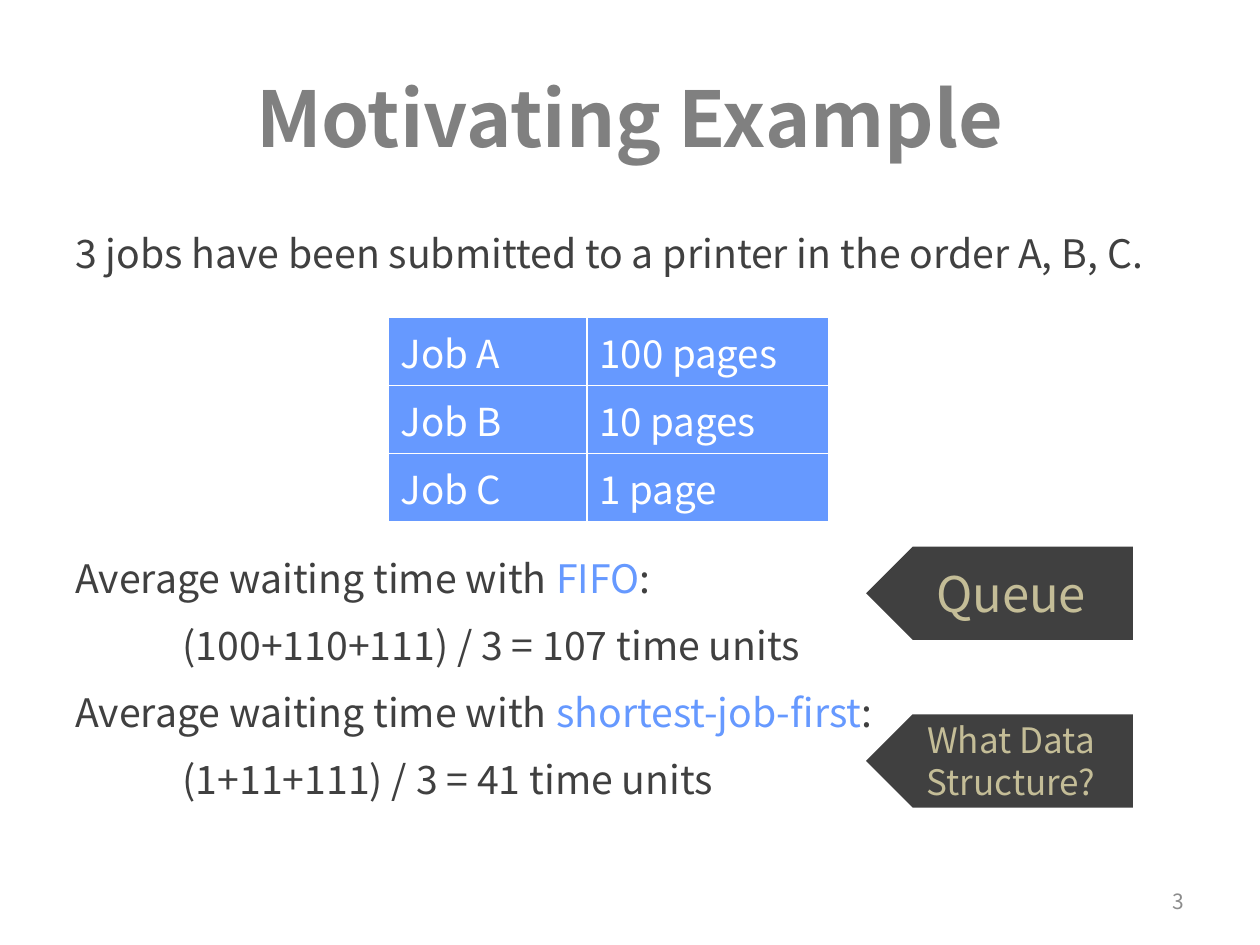
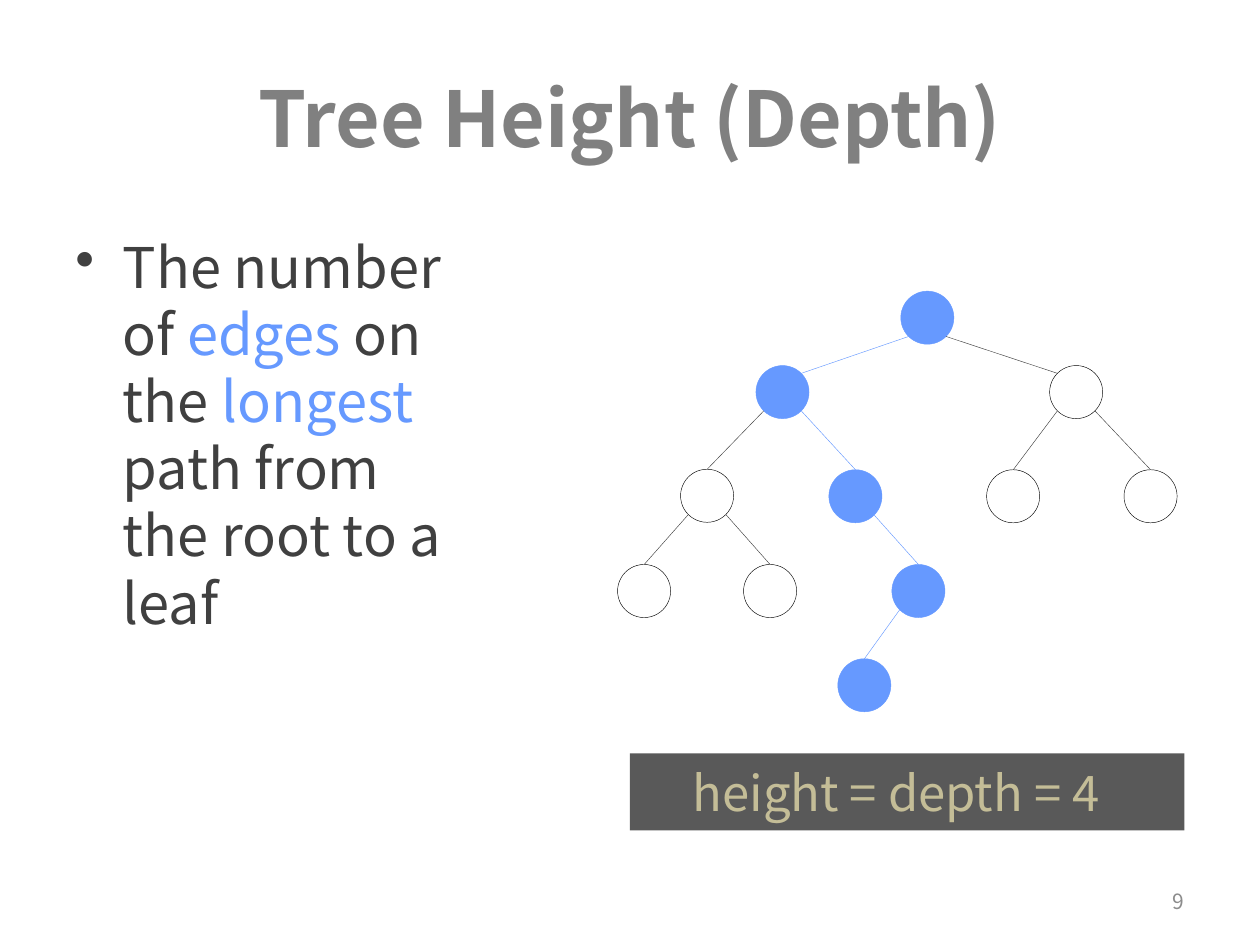
from dataclasses import dataclass
from math import sqrt
from typing import NamedTuple, Optional

from lxml import etree
from pptx import Presentation
from pptx.dml.color import RGBColor
from pptx.enum.shapes import MSO_CONNECTOR, MSO_SHAPE
from pptx.enum.text import MSO_ANCHOR, PP_ALIGN
from pptx.oxml.ns import qn
from pptx.presentation import Presentation as Deck
from pptx.shapes.autoshape import Shape
from pptx.slide import Slide
from pptx.util import Cm, Pt

FONT = "Noto Sans CJK SC"
WHITE = RGBColor(0xFF, 0xFF, 0xFF)
BLACK = RGBColor(0x00, 0x00, 0x00)
TITLE_GRAY = RGBColor(0x80, 0x80, 0x80)
NUMBER_GRAY = RGBColor(0x8C, 0x8C, 0x8C)
INK = RGBColor(0x40, 0x40, 0x40)
BAND_GRAY = RGBColor(0x59, 0x59, 0x59)
ACCENT = RGBColor(0x66, 0x99, 0xFF)
SAND = RGBColor(0xC4, 0xBD, 0x97)

TITLE_ONLY = 5
MARGIN = 1.27
CONTENT_WIDTH = 22.86
NODE_SIZE = 1.07
HAIRLINE = Pt(0.25)


class Box(NamedTuple):
    """Left, top, width and height in centimetres."""
    left: float
    top: float
    width: float
    height: float

    def lengths(self) -> tuple:
        return tuple(Cm(value) for value in self)


@dataclass
class Line:
    """A paragraph; text between asterisks takes the accent colour."""
    text: str
    size: float
    color: RGBColor = INK
    align: PP_ALIGN = PP_ALIGN.LEFT
    bold: bool = False
    spacing: Optional[float] = None
    after: float = 0
    indent: float = 0
    hanging: float = 0
    bullet: str = ""


@dataclass
class Callout:
    text: str
    top: float
    size: float
    spacing: Optional[float] = None


@dataclass
class Node:
    left: float
    top: float
    parent: str = ""
    side: int = 0  # -1 is a left child, 1 a right child
    on_path: bool = False


JOBS = [("Job A", "100 pages"), ("Job B", "10 pages"), ("Job C", "1 page")]
AVERAGES = [
    ("Average waiting time with *FIFO*:", 0),
    ("(100+110+111) / 3 = 107 time units", 2.16),
    ("Average waiting time with *shortest-job-first*:", 0),
    ("(1+11+111) / 3 = 41 time units", 2.16),
]
CALLOUTS = [
    Callout("Queue", 11.02, 28),
    Callout("What Data\vStructure?", 14.4, 20, spacing=24),
]
TREE = {
    "root": Node(18.16, 5.87, on_path=True),
    "L": Node(15.24, 7.37, "root", -1, True),
    "R": Node(21.16, 7.37, "root", 1),
    "LL": Node(13.72, 9.46, "L", -1),
    "LR": Node(16.71, 9.47, "L", 1, True),
    "RL": Node(19.89, 9.47, "R", -1),
    "RR": Node(22.66, 9.47, "R", 1),
    "LLL": Node(12.45, 11.38, "LL", -1),
    "LLR": Node(14.99, 11.38, "LL", 1),
    "LRR": Node(17.98, 11.38, "LR", 1, True),
    "LRRL": Node(16.89, 13.28, "LRR", -1, True),
}


def write(frame, lines: list[Line]) -> None:
    frame.word_wrap = True
    for index, line in enumerate(lines):
        paragraph = frame.add_paragraph() if index else frame.paragraphs[0]
        paragraph.alignment = line.align
        paragraph.space_before = Pt(0)
        paragraph.space_after = Pt(line.after)
        if line.spacing:
            paragraph.line_spacing = Pt(line.spacing)
        font = paragraph.font
        font.name, font.size, font.bold = FONT, Pt(line.size), line.bold
        font.color.rgb = line.color
        properties = paragraph._p.get_or_add_pPr()
        properties.set("marL", str(Cm(line.indent)))
        properties.set("indent", str(Cm(-line.hanging)))
        if line.bullet:
            bullet = etree.Element(qn("a:buChar"), char=line.bullet)
            properties.find(qn("a:defRPr")).addprevious(bullet)
        for part, text in enumerate(line.text.split("*")):
            for piece, row in enumerate(text.split("\v")):
                if piece:
                    paragraph.add_line_break()
                run = paragraph.add_run()
                run.text = row
                if part % 2:
                    run.font.color.rgb = ACCENT


def add_text(slide: Slide, box: Box, lines: list[Line]) -> Shape:
    text_box = slide.shapes.add_textbox(*box.lengths())
    write(text_box.text_frame, lines)
    return text_box


def add_filled(slide: Slide, kind: MSO_SHAPE, box: Box, fill: RGBColor) -> Shape:
    shape = slide.shapes.add_shape(kind, *box.lengths())
    shape.shadow.inherit = False
    shape.fill.solid()
    shape.fill.fore_color.rgb = fill
    shape.line.fill.background()
    shape.text_frame.vertical_anchor = MSO_ANCHOR.MIDDLE
    return shape


def add_titled_slide(deck: Deck, title: str, number: int) -> Slide:
    slide = deck.slides.add_slide(deck.slide_layouts[TITLE_ONLY])
    heading = slide.shapes.title
    box = Box(MARGIN, 0.76, CONTENT_WIDTH, 3.18)
    heading.left, heading.top, heading.width, heading.height = box.lengths()
    heading.text_frame.vertical_anchor = MSO_ANCHOR.MIDDLE
    write(heading.text_frame,
          [Line(title, 44, TITLE_GRAY, PP_ALIGN.CENTER, bold=True)])
    page = add_text(slide, Box(18.21, 17.65, 5.92, 1.02),
                    [Line(str(number), 12, NUMBER_GRAY, PP_ALIGN.RIGHT)])
    page.text_frame.vertical_anchor = MSO_ANCHOR.MIDDLE
    return slide


def add_white_borders(cell) -> None:
    properties = cell._tc.get_or_add_tcPr()
    for position, edge in enumerate(("a:lnL", "a:lnR", "a:lnT", "a:lnB")):
        border = etree.Element(qn(edge), w=str(Pt(1)))
        fill = etree.SubElement(border, qn("a:solidFill"))
        etree.SubElement(fill, qn("a:srgbClr"), val=str(WHITE))
        properties.insert(position, border)


def add_job_table(slide: Slide) -> None:
    box = Box(7.82, 6.4, 8.89, 4.11)
    table = slide.shapes.add_table(len(JOBS), 2, *box.lengths()).table
    table.first_row = table.horz_banding = False
    for column, width in zip(table.columns, (4.01, 4.88)):
        column.width = Cm(width)
    for row, job in zip(table.rows, JOBS):
        row.height = Cm(1.37)
        for cell, text in zip(row.cells, job):
            cell.fill.solid()
            cell.fill.fore_color.rgb = ACCENT
            add_white_borders(cell)
            write(cell.text_frame, [Line(text, 22, WHITE)])


def add_callout(slide: Slide, callout: Callout) -> None:
    """A pentagon that points left, towards the averages."""
    arrow = add_filled(slide, MSO_SHAPE.PENTAGON,
                       Box(17.46, callout.top, 5.38, 1.88), INK)
    arrow._element.spPr.find(qn("a:xfrm")).set("flipH", "1")
    write(arrow.text_frame, [Line(callout.text, callout.size, SAND,
                                  PP_ALIGN.CENTER, spacing=callout.spacing)])


def add_node(slide: Slide, node: Node) -> Shape:
    circle = add_filled(slide, MSO_SHAPE.OVAL,
                        Box(node.left, node.top, NODE_SIZE, NODE_SIZE), ACCENT)
    if not node.on_path:
        circle.fill.background()
    circle.line.color.rgb = ACCENT if node.on_path else BLACK
    circle.line.width = HAIRLINE
    return circle


def diagonal_point(node: Node, side: int, down: int) -> tuple:
    """The point of the circle at 45 degrees, to the given side."""
    radius = NODE_SIZE / 2
    reach = radius / sqrt(2)
    return (Cm(node.left + radius + side * reach),
            Cm(node.top + radius + down * reach))


def add_edge(slide: Slide, child: Node, circle: Shape) -> None:
    start = diagonal_point(TREE[child.parent], child.side, 1)
    end = diagonal_point(child, -child.side, -1)
    edge = slide.shapes.add_connector(MSO_CONNECTOR.STRAIGHT, *start, *end)
    if child.parent != "root":
        edge.end_connect(circle, 0)
    edge.line.color.rgb = ACCENT if child.on_path else INK
    edge.line.width = HAIRLINE
    etree.SubElement(edge._element.spPr, qn("a:effectLst"))


def build_motivating_example(deck: Deck) -> None:
    slide = add_titled_slide(deck, "Motivating Example", 3)
    add_text(slide, Box(MARGIN, 4.5, CONTENT_WIDTH, 1.2), [
        Line("3 jobs have been submitted to a printer in the order A, B, C.",
             22.4, spacing=27)])
    add_text(slide, Box(MARGIN, 11.05, CONTENT_WIDTH, 5.4), [
        Line(text, 22.4, spacing=27, after=11.3, indent=indent)
        for text, indent in AVERAGES])
    add_job_table(slide)
    for callout in CALLOUTS:
        add_callout(slide, callout)


def build_tree_height(deck: Deck) -> None:
    slide = add_titled_slide(deck, "Tree Height (Depth)", 9)
    definition = add_text(slide, Box(MARGIN, 4.45, 8.05, 12.57), [
        Line("The number of *edges* on the *longest* path from the root to a leaf",
             32, spacing=38.4, indent=0.95, hanging=0.95, bullet="•")])
    definition.text_frame.margin_top = Cm(0.23)
    circles = {name: add_node(slide, node) for name, node in TREE.items()}
    for name, node in TREE.items():
        if node.parent:
            add_edge(slide, node, circles[name])
    band = add_filled(slide, MSO_SHAPE.RECTANGLE,
                      Box(12.7, 15.19, 11.18, 1.55), BAND_GRAY)
    frame = band.text_frame
    frame.margin_left = frame.margin_right = Cm(0)
    frame.margin_top = frame.margin_bottom = Cm(0)
    write(frame, [Line("height = depth = 4", 28, SAND, indent=1.27)])


def main() -> None:
    deck = Presentation()
    deck.slide_width, deck.slide_height = Cm(25.4), Cm(19.05)
    build_motivating_example(deck)
    build_tree_height(deck)
    deck.save("out.pptx")


if __name__ == "__main__":
    main()
